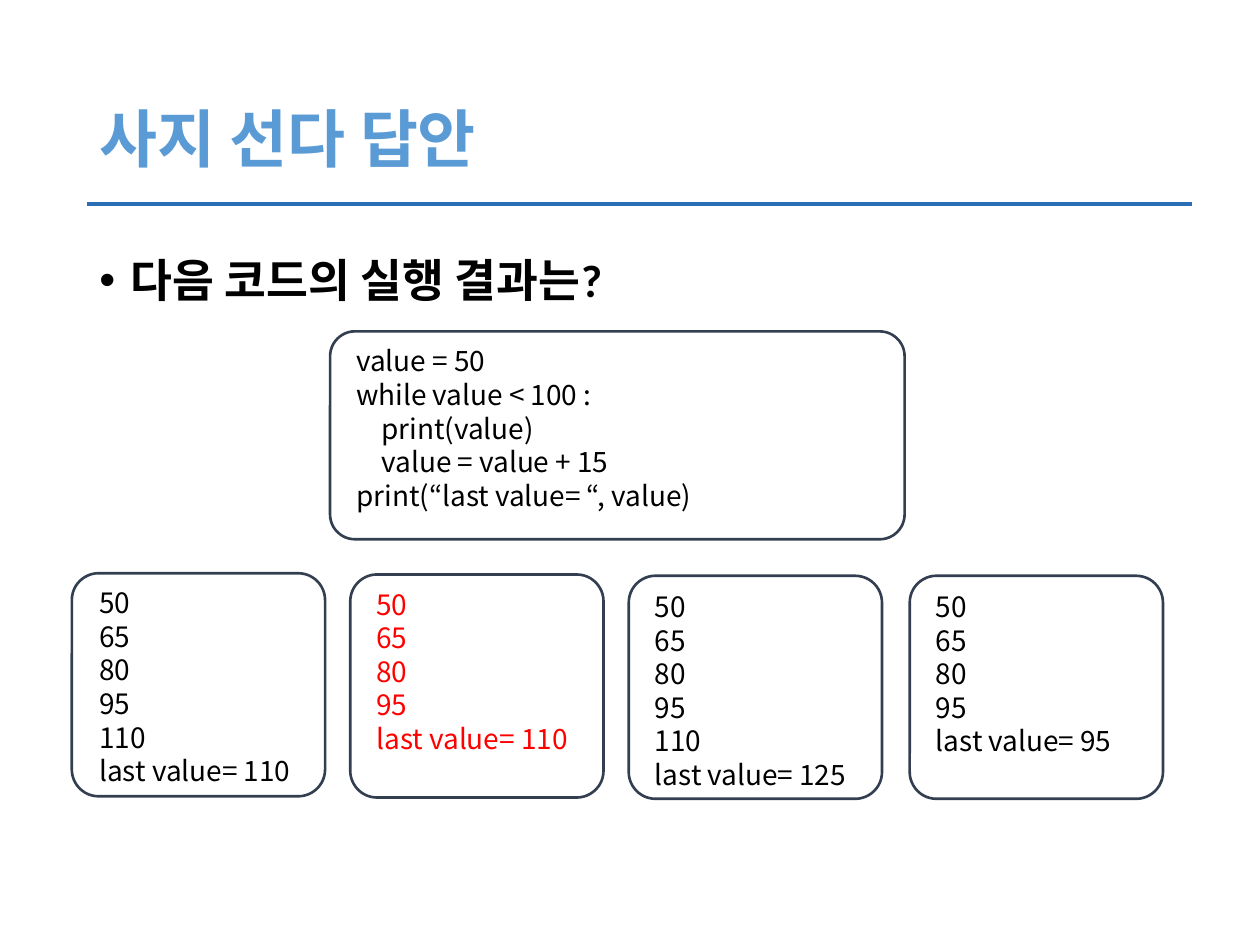
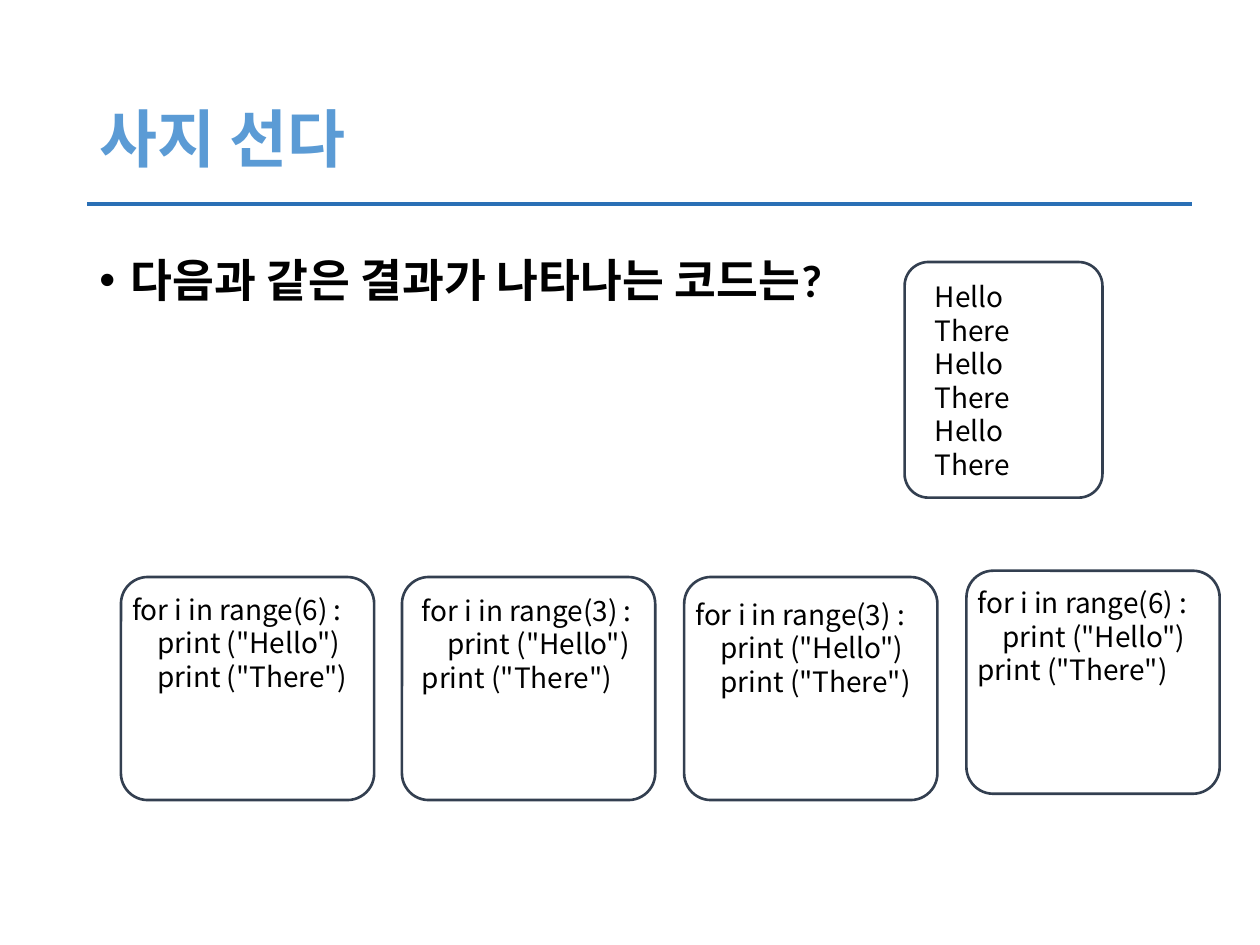
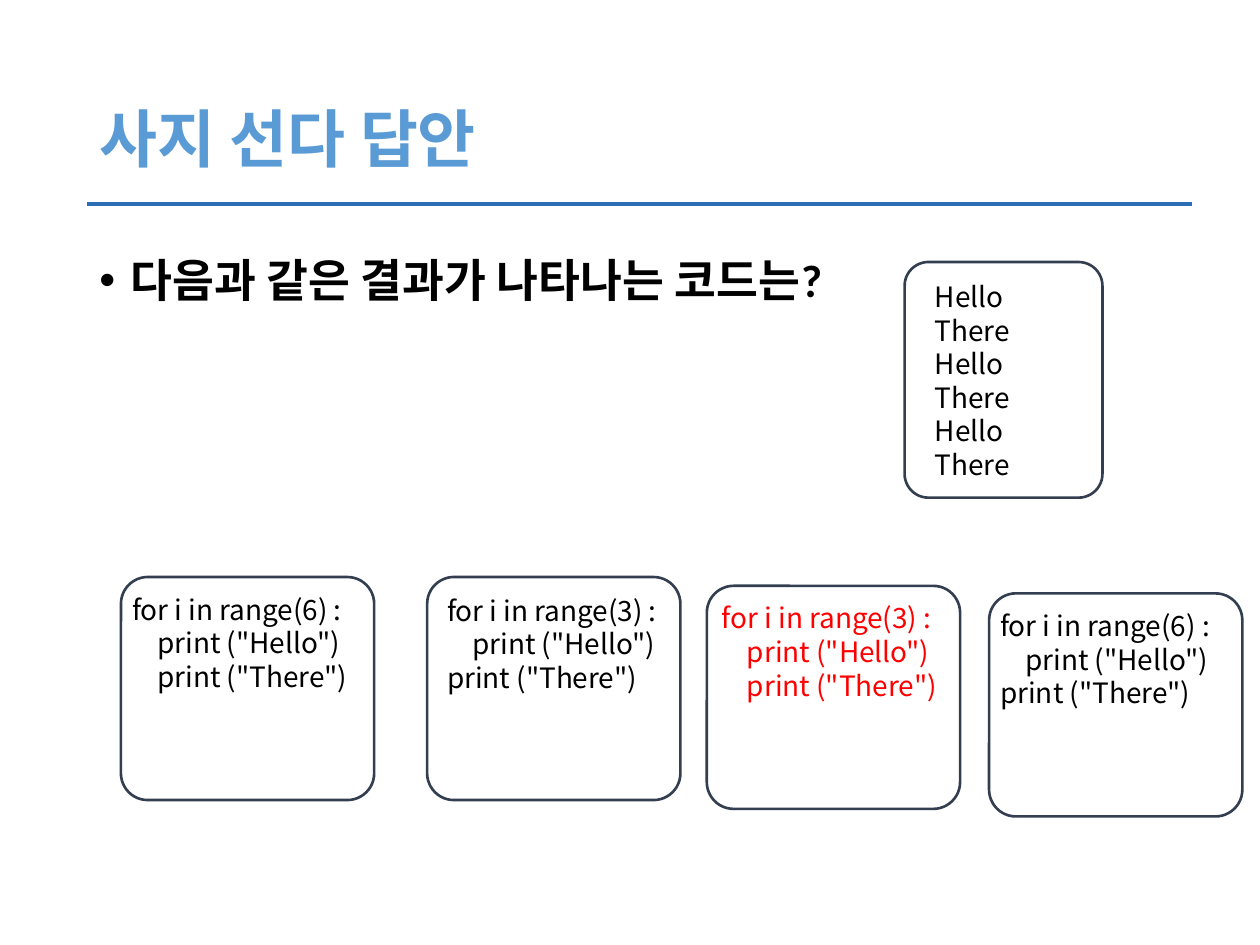
"""Build three quiz slides on Python loops."""

from dataclasses import dataclass

from lxml.etree import SubElement
from pptx import Presentation
from pptx.dml.color import RGBColor
from pptx.enum.shapes import MSO_CONNECTOR, MSO_SHAPE
from pptx.enum.text import MSO_ANCHOR, MSO_AUTO_SIZE, PP_ALIGN
from pptx.oxml.ns import qn
from pptx.slide import Slide
from pptx.text.text import TextFrame, _Paragraph
from pptx.util import Inches, Pt


@dataclass(frozen=True)
class Theme:
    title: RGBColor = RGBColor(0x5B, 0x9B, 0xD5)
    rule: RGBColor = RGBColor(0x2A, 0x6F, 0xB5)
    edge: RGBColor = RGBColor(0x33, 0x3F, 0x50)
    paper: RGBColor = RGBColor(0xFF, 0xFF, 0xFF)
    ink: RGBColor = RGBColor(0, 0, 0)
    answer: RGBColor = RGBColor(0xFF, 0, 0)
    head_font: str = "Calibri"
    code_font: str = "Noto Sans CJK KR"
    title_size: float = 36
    ask_size: float = 26
    code_size: float = 16
    code_pitch: float = 19.2


@dataclass(frozen=True)
class Card:
    left: float
    top: float
    lines: tuple[str, ...]
    shift: tuple[float, float] = (0.11, 0.05)
    width: float = 2.01
    height: float = 1.77
    text_width: float = 2
    right: bool = False


@dataclass(frozen=True)
class Quiz:
    title: str
    ask: str
    cards: tuple[Card, ...]


THEME = Theme()
INDENT = "    "
COUNT = ("50", "65", "80", "95")
HELLO = 'print ("Hello")'
THERE = 'print ("There")'


def loop(times: int, inside: bool) -> tuple[str, ...]:
    """Return a loop whose last line is inside or after its body."""
    last = INDENT + THERE if inside else THERE
    return (f"for i in range({times}) :", INDENT + HELLO, last)


LOOP_ASK = "다음과 같은 결과가 나타나는 코드는?"
OUTPUT = Card(7.18, 2.08, ("Hello", "There") * 3, (0.14, 0.09), 1.57, 1.87, 1.82)
FIRST = Card(0.96, 4.58, loop(6, True), (-0.01, 0.07))
CODE = (
    "value = 50",
    "while value < 100 :",
    INDENT + "print(value)",
    INDENT + "value = value + 15",
    "print(“last value= “, value)",
)

QUIZZES = (
    Quiz("사지 선다 답안", "다음 코드의 실행 결과는?", (
        Card(2.62, 2.63, CODE, width=4.56, height=1.65, text_width=3.89),
        Card(0.57, 4.55, (*COUNT, "110", "last value= 110"), (0.12, 0.05)),
        Card(2.78, 4.56, (*COUNT, "last value= 110"), right=True),
        Card(4.99, 4.57, (*COUNT, "110", "last value= 125"), (0.11, 0.06)),
        Card(7.22, 4.57, (*COUNT, "last value= 95"), (0.11, 0.06)),
    )),
    Quiz("사지 선다", LOOP_ASK, (
        OUTPUT,
        FIRST,
        Card(3.19, 4.58, loop(3, False), (0.06, 0.08), text_width=1.89),
        Card(5.43, 4.58, loop(3, True), (-0.01, 0.11)),
        Card(7.67, 4.53, loop(6, False), (-0.01, 0.07)),
    )),
    Quiz("사지 선다 답안", LOOP_ASK, (
        OUTPUT,
        FIRST,
        Card(3.39, 4.58, loop(3, False), (0.06, 0.08), text_width=1.89),
        Card(5.61, 4.65, loop(3, True), (0.02, 0.07), right=True),
        Card(7.85, 4.71, loop(6, False), (-0.01, 0.07)),
    )),
)


def style(para: _Paragraph, font: str, size: float, color: RGBColor, bold: bool) -> None:
    """Format every run of a paragraph."""
    para.alignment = PP_ALIGN.LEFT
    for run in para.runs:
        run.font.name = font
        run.font.size = Pt(size)
        run.font.bold = bold
        run.font.color.rgb = color
        east = SubElement(run.font._element, qn("a:ea"))
        east.set("typeface", THEME.code_font)


def add_frame(slide: Slide, left: float, top: float, width: float, height: float) -> TextFrame:
    """Add a wrapping text box and return its frame."""
    box = slide.shapes.add_textbox(Inches(left), Inches(top), Inches(width), Inches(height))
    box.text_frame.word_wrap = True
    box.text_frame.auto_size = MSO_AUTO_SIZE.NONE
    return box.text_frame


def draw_title(slide: Slide, text: str) -> None:
    """Place the title and the rule below it."""
    title = slide.shapes.title
    title.left, title.top = Inches(0.69), Inches(0.4)
    title.width, title.height = Inches(8.62), Inches(1.45)
    frame = title.text_frame
    frame.text = text
    frame.auto_size = MSO_AUTO_SIZE.NONE
    frame.vertical_anchor = MSO_ANCHOR.MIDDLE
    para = frame.paragraphs[0]
    para.line_spacing = 0.9
    style(para, THEME.head_font, THEME.title_size, THEME.title, True)
    rule = slide.shapes.add_connector(
        MSO_CONNECTOR.STRAIGHT, Inches(9.46), Inches(1.62), Inches(0.69), Inches(1.62)
    )
    rule.line.color.rgb = THEME.rule
    rule.line.width = Pt(2.25)
    SubElement(rule._element.spPr, qn("a:effectLst"))


def draw_ask(slide: Slide, text: str) -> None:
    """Add the question as a bullet."""
    frame = add_frame(slide, 0.69, 2, 8.62, 4.76)
    frame.text = text
    para = frame.paragraphs[0]
    para.line_spacing = 0.9
    para.space_before = Pt(10)
    style(para, THEME.head_font, THEME.ask_size, THEME.ink, True)
    props = para._p.get_or_add_pPr()
    props.set("marL", str(Inches(0.25)))
    props.set("indent", str(Inches(-0.25)))
    SubElement(props, qn("a:buFont")).set("typeface", "Arial")
    SubElement(props, qn("a:buChar")).set("char", "•")


def draw_card(slide: Slide, card: Card) -> None:
    """Draw a rounded card with its lines of code or output."""
    shape = slide.shapes.add_shape(
        MSO_SHAPE.ROUNDED_RECTANGLE,
        Inches(card.left), Inches(card.top), Inches(card.width), Inches(card.height),
    )
    shape.adjustments[0] = 0.12
    shape.shadow.inherit = False
    shape.fill.solid()
    shape.fill.fore_color.rgb = THEME.paper
    shape.line.color.rgb = THEME.edge
    shape.line.width = Pt(1.5)

    across, down = card.shift
    height = 0.1 + 0.27 * (len(card.lines) + 1)
    frame = add_frame(slide, card.left + across, card.top + down, card.text_width, height)
    frame.text = "\n".join(line.strip() for line in card.lines)
    color = THEME.answer if card.right else THEME.ink
    for para, line in zip(frame.paragraphs, card.lines):
        para.line_spacing = Pt(THEME.code_pitch)
        style(para, THEME.code_font, THEME.code_size, color, False)
        if line.startswith(INDENT):
            para._p.get_or_add_pPr().set("marL", str(Inches(0.2)))


def main() -> None:
    """Build and save the deck."""
    deck = Presentation()
    deck.slide_width, deck.slide_height = Inches(10), Inches(7.5)
    layout = deck.slide_layouts.get_by_name("Title Only")
    for quiz in QUIZZES:
        slide = deck.slides.add_slide(layout)
        draw_title(slide, quiz.title)
        draw_ask(slide, quiz.ask)
        for card in quiz.cards:
            draw_card(slide, card)
    deck.save("out.pptx")


if __name__ == "__main__":
    main()
